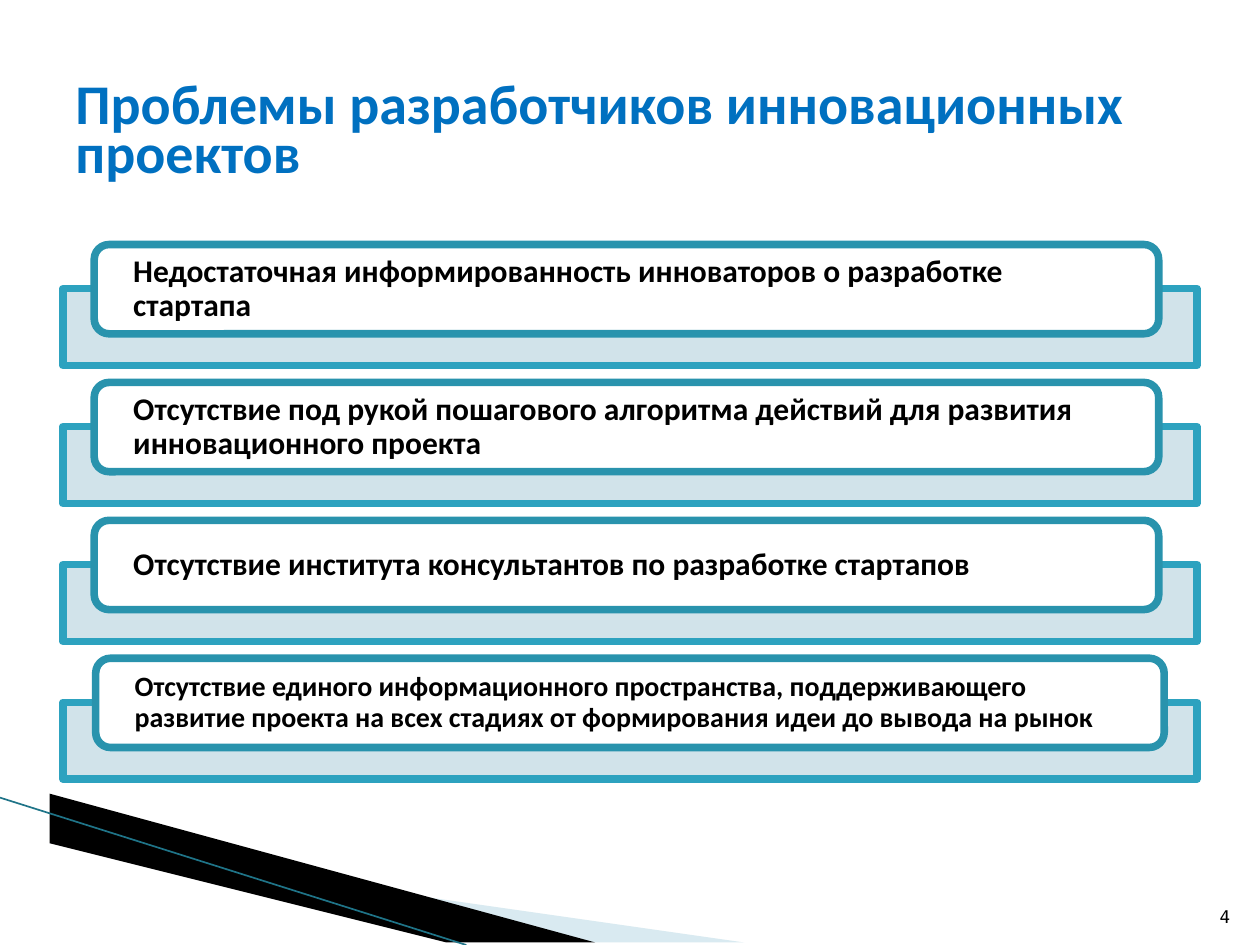
from dataclasses import dataclass

import pptx
import pptx.dml.color
import pptx.enum.shapes
import pptx.enum.text
import pptx.oxml.ns
import pptx.util
from lxml import etree

Cm = pptx.util.Cm
Pt = pptx.util.Pt
SHAPE = pptx.enum.shapes.MSO_SHAPE
ANCHOR = pptx.enum.text.MSO_ANCHOR
ALIGN = pptx.enum.text.PP_ALIGN


@dataclass
class Problem:
    text: str
    size: int = 18
    left: float = 1.9
    width: float = 21.46


@dataclass
class Wedge:
    points: list[tuple[float, float]]
    color: str
    alpha: int = 100


PROBLEMS = [
    Problem("Недостаточная информированность инноваторов о разработке стартапа"),
    Problem("Отсутствие под рукой пошагового алгоритма действий для развития "
            "инновационного проекта"),
    Problem("Отсутствие института консультантов по разработке стартапов"),
    Problem("Отсутствие единого информационного пространства, поддерживающего "
            "развитие проекта на всех стадиях от формирования идеи до вывода на рынок",
            16, 1.93, 21.54),
]
WEDGES = [
    Wedge([(1.4, 16.53), (15.11, 19.05), (11.58, 19.05), (1.4, 16.51)], "A0CBDC", 40),
    Wedge([(1.35, 16.49), (11.6, 19.05), (9.45, 19.05), (1.37, 16.51)], "000000"),
]
TOP = 4.93
PITCH = 2.78
BAR_DROP = 0.89


def rgb(color: str):
    return pptx.dml.color.RGBColor.from_string(color)


def paint(sp, fill: str, alpha: int = 100, line: str | None = None) -> None:
    """Set fill with opacity in percent, outline and no shadow."""
    sp.shadow.inherit = False
    sp.fill.solid()
    sp.fill.fore_color.rgb = rgb(fill)
    if alpha < 100:
        clr = sp.fill._xPr.find(".//" + pptx.oxml.ns.qn("a:srgbClr"))
        etree.SubElement(clr, pptx.oxml.ns.qn("a:alpha"), val=str(alpha * 1000))
    if line:
        sp.line.color.rgb = rgb(line)
        sp.line.width = Pt(4.33)
    else:
        sp.line.fill.background()


def write(sp, text: str, size: float, color: str, spacing, bold: bool = True,
          font: str = "Calibri", align=ALIGN.LEFT, anchor=ANCHOR.MIDDLE) -> None:
    tf = sp.text_frame
    tf.word_wrap = True
    tf.vertical_anchor = anchor
    p = tf.paragraphs[0]
    p.text = text
    p.alignment = align
    p.line_spacing = spacing
    p.font.name = font
    p.font.size = Pt(size)
    p.font.bold = bold
    p.font.color.rgb = rgb(color)


def draw_wedge(s, wedge: Wedge) -> None:
    start, *rest = wedge.points
    fb = s.shapes.build_freeform(*start, scale=Cm(1))
    fb.add_line_segments(rest, close=True)
    paint(fb.convert_to_shape(), wedge.color, wedge.alpha)


def draw_edge(s) -> None:
    line = s.shapes.add_connector(pptx.enum.shapes.MSO_CONNECTOR.STRAIGHT,
                                  Cm(0), Cm(16.08), Cm(9.4), Cm(19.05))
    line.line.color.rgb = rgb("1F7488")
    line.line.width = Pt(0.95)
    etree.SubElement(line._element.spPr, pptx.oxml.ns.qn("a:effectLst"))


def draw_problem(s, problem: Problem, top: float) -> None:
    bar = s.shapes.add_shape(SHAPE.RECTANGLE, Cm(1.27), Cm(top + BAR_DROP),
                             Cm(22.86), Cm(1.55))
    paint(bar, "CDE0E8", 90, "2DA2BF")
    card = s.shapes.add_shape(SHAPE.ROUNDED_RECTANGLE, Cm(problem.left), Cm(top),
                              Cm(problem.width), Cm(1.8))
    paint(card, "FFFFFF", line="2993AD")
    write(card, problem.text, problem.size, "000000", 0.9)
    tf = card.text_frame
    tf.margin_left, tf.margin_right = Cm(0.7), Cm(0.6)
    tf.margin_top = tf.margin_bottom = 0


def main() -> None:
    prs = pptx.Presentation()
    prs.slide_width, prs.slide_height = Cm(25.4), Cm(19.05)
    s = prs.slides.add_slide(prs.slide_layouts[6])

    for wedge in WEDGES:
        draw_wedge(s, wedge)
    draw_edge(s)

    number = s.shapes.add_textbox(Cm(24.03), Cm(17.8), Cm(1.02), Cm(1.02))
    write(number, "4", 10, "000000", 1.0, bold=False, font="DejaVu Sans Mono",
          align=ALIGN.RIGHT, anchor=ANCHOR.BOTTOM)
    title = s.shapes.add_textbox(Cm(1.27), Cm(1.14), Cm(22.86), Cm(3.18))
    write(title, "Проблемы разработчиков инновационных проектов", 32, "0070C0", Pt(28))

    for i, problem in enumerate(PROBLEMS):
        draw_problem(s, problem, TOP + i * PITCH)

    prs.save("out.pptx")


if __name__ == "__main__":
    main()
